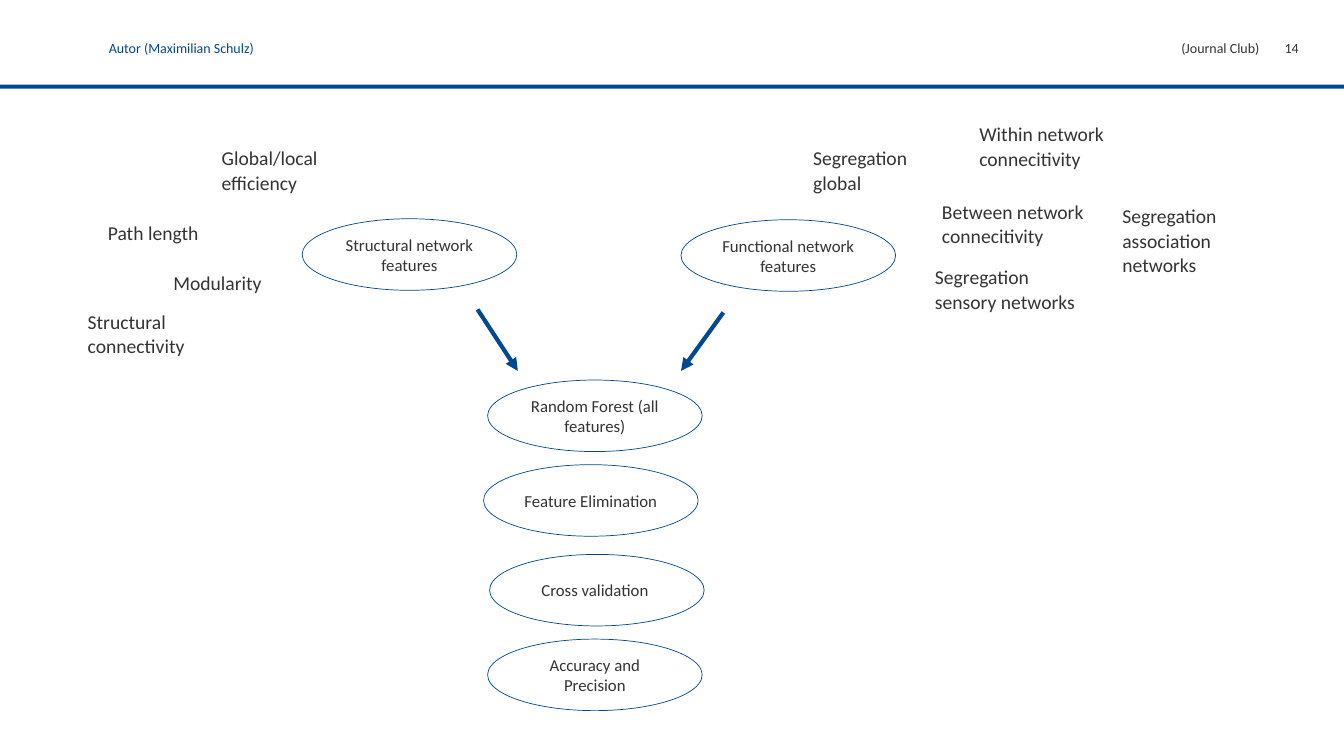
from dataclasses import dataclass

from pptx import Presentation
from pptx.dml.color import RGBColor
from pptx.enum.shapes import MSO_CONNECTOR as Link, MSO_SHAPE as Preset
from pptx.enum.text import MSO_ANCHOR as Anchor, PP_ALIGN as Align
from pptx.oxml.ns import qn
from pptx.util import Inches, Pt
from lxml.etree import SubElement


@dataclass(frozen=True)
class Theme:
    """Colours, type sizes, line weights and the grid cell."""
    blue: RGBColor = RGBColor(0x00, 0x49, 0x92)
    ink: RGBColor = RGBColor(0x33, 0x33, 0x33)
    paper: RGBColor = RGBColor(0xFF, 0xFF, 0xFF)
    face: str = "Calibri"
    small: int = 10
    node: int = 12
    label: int = 14
    outline: float = 0.5
    arrow: float = 3
    cell: int = Inches(0.1)


THEME = Theme()
COLUMNS, ROWS = 133.4, 75
NODE_SIZE = (21.3, 7.1)


@dataclass(frozen=True)
class Box:
    """A rectangle in columns and rows of the grid."""
    left: float
    top: float
    width: float
    height: float

    def inner(self, left, top, width, height):
        """Return a box placed relative to this one."""
        return Box(self.left + left, self.top + top, width, height)

    def place(self):
        """Return left, top, width and height as slide lengths."""
        return [round(n * THEME.cell) for n in (self.left, self.top, self.width, self.height)]


def apply(target, values):
    """Set every attribute named in a dict."""
    for name, value in values.items():
        setattr(target, name, value)


def write(shape, text, size, color=THEME.ink, align=Align.LEFT, spacing=1.0,
          anchor=Anchor.TOP, insets=(0, 0, 0, 0)):
    """Put one formatted paragraph into a shape."""
    frame = shape.text_frame
    sides = ("margin_left", "margin_top", "margin_right", "margin_bottom")
    apply(frame, dict(zip(sides, map(Inches, insets))))
    apply(frame, {"word_wrap": True, "vertical_anchor": anchor})
    para = frame.paragraphs[0]
    apply(para, {"alignment": align, "line_spacing": spacing})
    span = para.add_run()
    span.text = text
    apply(span.font, {"name": THEME.face, "size": Pt(size)})
    span.font.color.rgb = color


def add_preset(slide, preset, box, fill):
    """Add a flat filled shape without an outline."""
    shape = slide.shapes.add_shape(preset, *box.place())
    shape.shadow.inherit = False
    shape.fill.solid()
    shape.fill.fore_color.rgb = fill
    shape.line.fill.background()
    return shape


def add_node(slide, box, text):
    """Add an outlined ellipse with centred text."""
    shape = add_preset(slide, Preset.OVAL, box, THEME.paper)
    shape.line.color.rgb = THEME.blue
    shape.line.width = Pt(THEME.outline)
    write(shape, text, THEME.node, align=Align.CENTER, anchor=Anchor.MIDDLE,
          insets=(0.08, 0.04, 0.08, 0.04))


def add_arrow(slide, box, start, end):
    """Add a thick arrow between two points of a box."""
    points = [box.inner(*point, 0, 0).place()[:2] for point in (start, end)]
    arrow = slide.shapes.add_connector(Link.STRAIGHT, *points[0], *points[1])
    arrow.line.color.rgb = THEME.blue
    arrow.line.width = Pt(THEME.arrow)
    SubElement(arrow.line._get_or_add_ln(), qn("a:tailEnd"), type="triangle")
    SubElement(arrow._element.spPr, qn("a:effectLst"))


def add_header(slide, box):
    """Draw the rule with author, event and page number above it."""
    rule = box.inner(0, box.height - 0.4, box.width, 0.4)
    add_preset(slide, Preset.RECTANGLE, rule, THEME.blue)
    entries = (
        ("Autor (Maximilian Schulz)", 10.8, 33.1, THEME.blue, Align.LEFT),
        ("(Journal Club)", 68.3, 56.7, THEME.ink, Align.RIGHT),
        ("14", 125, 3.9, THEME.ink, Align.RIGHT),
    )
    for text, left, width, color, align in entries:
        shape = slide.shapes.add_textbox(*box.inner(left, 3.6, width, 2.4).place())
        write(shape, text, THEME.small, color, align, insets=(0, 0.03, 0, 0))


def add_feature_group(slide, box, title, node_at, labels):
    """Draw a feature ellipse with its measures around it."""
    add_node(slide, box.inner(*node_at, *NODE_SIZE), title)
    for text, *area in labels:
        shape = slide.shapes.add_textbox(*box.inner(*area).place())
        write(shape, text, THEME.label, spacing=1.05)


def add_pipeline(slide, box):
    """Draw the arrows leading into the column of model steps."""
    steps = (
        ("Random Forest (all features)", 1, 7),
        ("Feature Elimination", 0.6, 15.4),
        ("Cross validation ", 1.2, 24.3),
        ("Accuracy and Precision", 1, 32.7),
    )
    for text, left, top in steps:
        add_node(slide, box.inner(left, top, *NODE_SIZE), text)
    add_arrow(slide, box, (0, 0), (4, 6.1))
    add_arrow(slide, box, (box.width, 0.3), (20.2, 6.1))


def main():
    """Build the slide and save the deck."""
    deck = Presentation()
    page = Box(0, 0, COLUMNS, ROWS)
    _, _, deck.slide_width, deck.slide_height = page.place()
    slide = deck.slides.add_slide(deck.slide_layouts[6])
    add_header(slide, page.inner(0, 0, COLUMNS, 8.8))
    add_feature_group(
        slide, page.inner(8.7, 14.4, 42.6, 20.1), "Structural network features", (21.3, 7.3),
        (
            ("Global/local efficiency", 13.3, 0, 14.2, 3.9),
            ("Path length", 2, 7.4, 14.2, 3.9),
            ("Modularity", 8.5, 12.4, 10.6, 3.9),
            ("Structural connectivity", 0, 16.2, 10.6, 3.9),
        ))
    add_feature_group(
        slide, page.inner(67.6, 12, 58, 22.1), "Functional network features", (0, 9.8),
        (
            ("Within network connecitivity", 29.6, 0, 14.2, 5.7),
            ("Between network connecitivity", 25.9, 7.7, 14.2, 5.7),
            ("Segregation global", 13.1, 2.4, 14.2, 3.9),
            ("Segregation association networks", 43.8, 8.1, 14.2, 7.9),
            ("Segregation sensory networks", 25.2, 14.2, 14.2, 7.9),
        ))
    add_pipeline(slide, page.inner(47.4, 30.7, 24.4, 39.8))
    deck.save("out.pptx")


if __name__ == "__main__":
    main()
